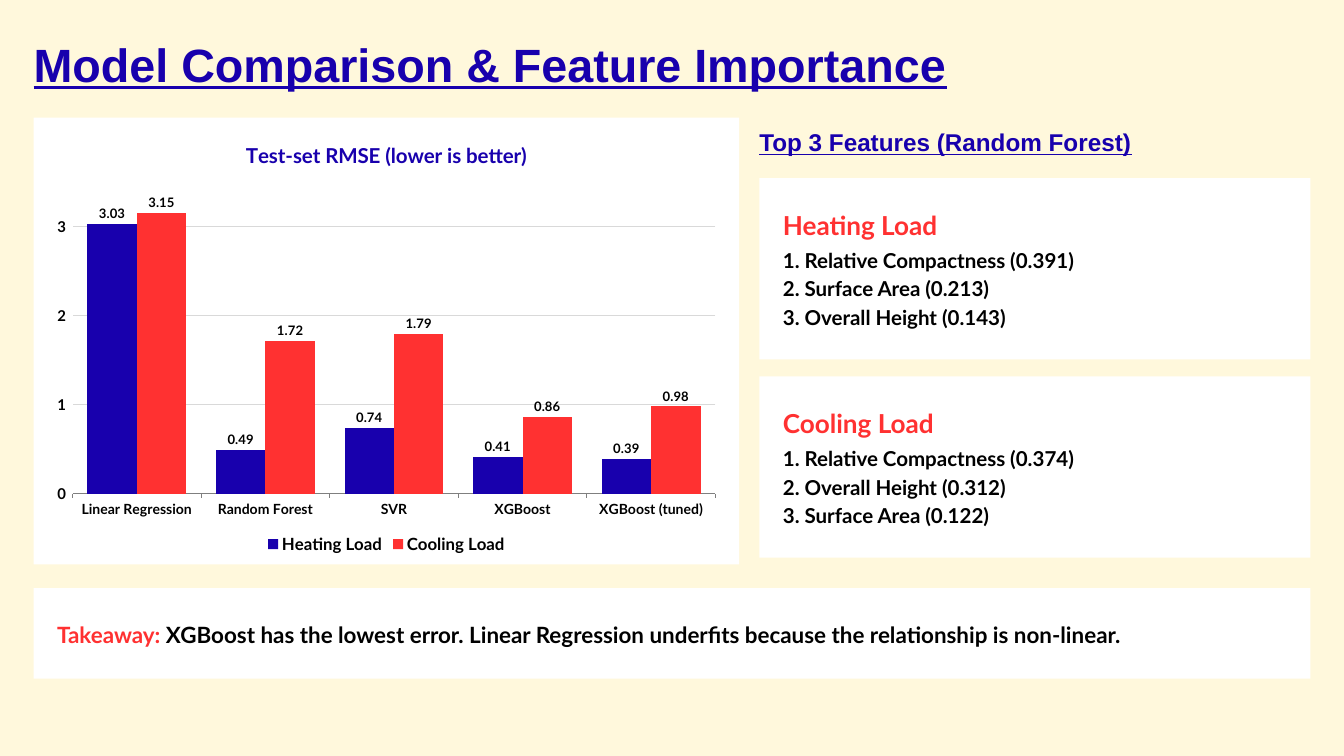
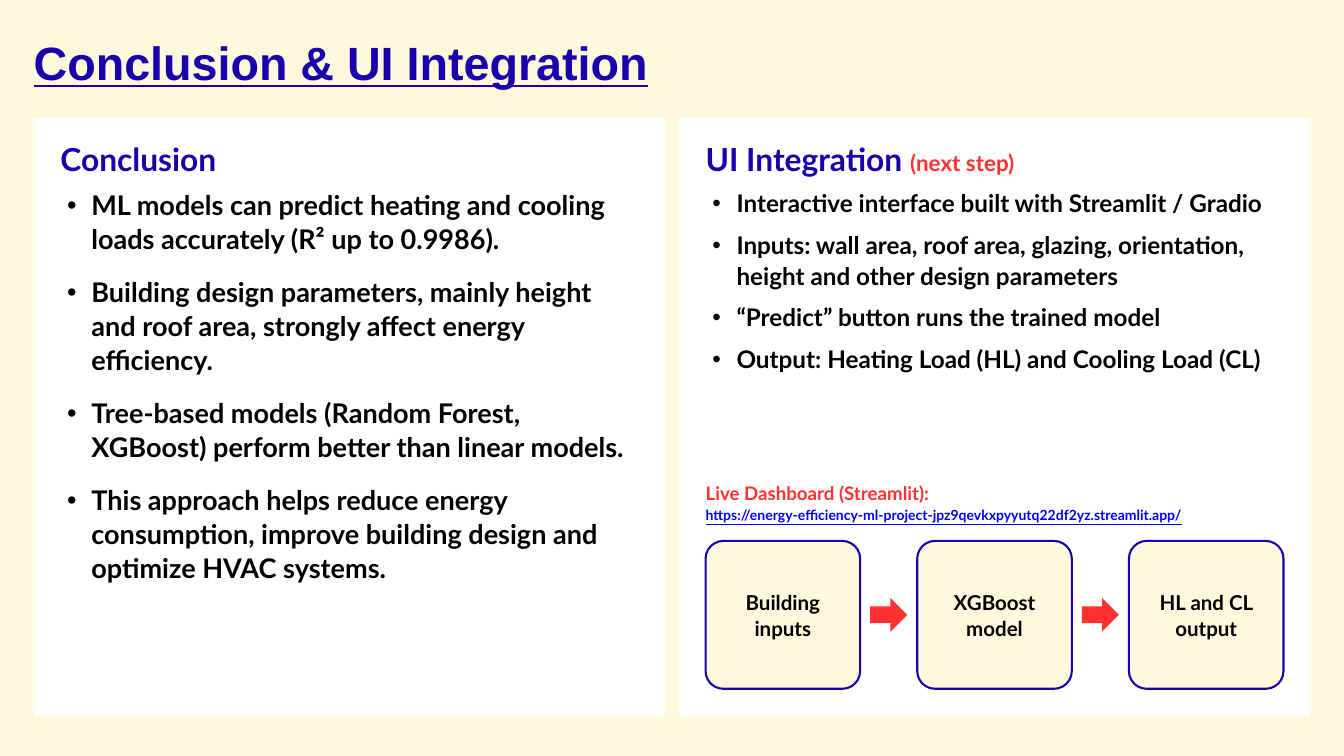
from dataclasses import dataclass
from typing import NamedTuple

from lxml import etree
from pptx import Presentation
from pptx.chart.data import CategoryChartData
from pptx.dml.color import RGBColor
from pptx.enum.chart import XL_CHART_TYPE, XL_LABEL_POSITION, XL_LEGEND_POSITION, XL_TICK_MARK
from pptx.enum.shapes import MSO_SHAPE
from pptx.enum.text import MSO_ANCHOR, MSO_AUTO_SIZE, PP_ALIGN
from pptx.oxml.ns import qn
from pptx.util import Emu, Pt

TOP, MIDDLE = MSO_ANCHOR.TOP, MSO_ANCHOR.MIDDLE
LEFT, CENTER = PP_ALIGN.LEFT, PP_ALIGN.CENTER
NO_FIT, GROW = MSO_AUTO_SIZE.NONE, MSO_AUTO_SIZE.SHAPE_TO_FIT_TEXT
RECT, ROUNDED, ARROW = MSO_SHAPE.RECTANGLE, MSO_SHAPE.ROUNDED_RECTANGLE, MSO_SHAPE.RIGHT_ARROW
TICK_OUT = XL_TICK_MARK.OUTSIDE

PX = 9144  # 100 px to the inch
TWO_CONTENT = 3  # layout with a title and two bodies


@dataclass(frozen=True)
class Theme:
    # colours
    cream: str = "FFF8DC"
    white: str = "FFFFFF"
    navy: str = "1800AD"
    red: str = "FF3131"
    black: str = "000000"
    link: str = "0000FF"
    axis: str = "7F7F7F"
    grid: str = "D9D9D9"
    # fonts
    head_font: str = "Arial"
    body_font: str = "Lato"
    # type sizes
    title: int = 50
    panel_head: int = 34
    conclusion: int = 29
    card_head: int = 28
    subhead: int = 26
    takeaway: int = 24
    item: int = 22
    dashboard: int = 20
    chart: int = 18
    value_axis: int = 16
    small: int = 15
    data_label: int = 14


T = Theme()


class Box(NamedTuple):
    left: int
    top: int
    width: int
    height: int


class Insets(NamedTuple):
    left: int = 0
    top: int = 0
    right: int = 0
    bottom: int = 0


@dataclass(frozen=True)
class Run:
    text: str
    size: int
    color: str = T.black
    font: str = T.body_font
    underline: bool = False


@dataclass(frozen=True)
class Para:
    runs: tuple[Run, ...]
    after: int = 0
    spacing: float = 1.05
    bullet: bool = False
    align: PP_ALIGN = LEFT


CARD_INSETS = Insets(35, 20, 35, 20)
TAKEAWAY_INSETS = Insets(35, 10, 35, 10)
PANEL_INSETS = Insets(40, 30, 40, 20)
STEP_INSETS = Insets(10, 10, 10, 10)


def px(value: int) -> Emu:
    return Emu(value * PX)


def rgb(color: str) -> RGBColor:
    return RGBColor.from_string(color)


def apply(target, values: dict) -> None:
    for name, value in values.items():
        setattr(target, name, value)


def style_font(font, size: int, color: str = T.black, name: str = T.body_font,
               underline: bool = False) -> None:
    apply(font, {"size": Pt(size), "name": name, "bold": True, "underline": underline})
    font.color.rgb = rgb(color)


def set_bullet(paragraph, bullet: bool) -> None:
    props = paragraph._p.get_or_add_pPr()
    props.set("marL", str(px(46 if bullet else 0)))
    props.set("indent", str(px(-36 if bullet else 0)))
    if bullet:
        etree.SubElement(props, qn("a:buChar")).set("char", "•")
    else:
        etree.SubElement(props, qn("a:buNone"))


def write(shape, paras: list[Para], insets: Insets = Insets(), anchor: MSO_ANCHOR = MIDDLE) -> None:
    frame = shape.text_frame
    apply(frame, {"word_wrap": True, "auto_size": NO_FIT, "vertical_anchor": anchor})
    apply(frame, {f"margin_{side}": px(value) for side, value in insets._asdict().items()})
    for index, para in enumerate(paras):
        paragraph = frame.add_paragraph() if index else frame.paragraphs[0]
        set_bullet(paragraph, para.bullet)
        apply(paragraph, {"alignment": para.align, "line_spacing": para.spacing,
                          "space_before": Pt(0), "space_after": Pt(para.after)})
        for part in para.runs:
            run = paragraph.add_run()
            run.text = part.text
            style_font(run.font, part.size, part.color, part.font, part.underline)


def place(shape, box: Box) -> None:
    apply(shape, {side: px(value) for side, value in box._asdict().items()})


def paint(shape, fill: str, outline: str | None = None) -> None:
    shape.fill.solid()
    shape.fill.fore_color.rgb = rgb(fill)
    if outline:
        shape.line.color.rgb = rgb(outline)
        shape.line.width = Pt(2.25)
    else:
        shape.line.fill.background()


def add_block(slide, kind: MSO_SHAPE, box: Box, fill: str, outline: str | None = None):
    block = slide.shapes.add_shape(kind, *map(px, box))
    block.shadow.inherit = False
    paint(block, fill, outline)
    return block


def fill_panel(body, box: Box, paras: list[Para], insets: Insets, anchor: MSO_ANCHOR) -> None:
    place(body, box)
    paint(body, T.white)
    write(body, paras, insets, anchor)


def heading(text: str, size: int, spacing: float = 1.05) -> list[Para]:
    return [Para((Run(text, size, T.navy, T.head_font, True),), spacing=spacing)]


def add_titled_slide(deck, title: str, spacing: float):
    slide = deck.slides.add_slide(deck.slide_layouts[TWO_CONTENT])
    place(slide.shapes.title, Box(50, 30, 1900, 125))
    write(slide.shapes.title, heading(title, T.title, spacing))
    return slide


def add_rmse_chart(slide, box: Box) -> None:
    data = CategoryChartData(number_format="0.00")
    data.categories = ["Linear Regression", "Random Forest", "SVR", "XGBoost", "XGBoost (tuned)"]
    data.add_series("Heating Load", [3.03, 0.49, 0.74, 0.41, 0.39])
    data.add_series("Cooling Load", [3.15, 1.72, 1.79, 0.86, 0.98])
    chart = slide.shapes.add_chart(XL_CHART_TYPE.COLUMN_CLUSTERED, *map(px, box), data).chart
    style_font(chart.font, T.chart)

    # Title and legend
    chart.has_title = True
    chart_title = chart.chart_title.text_frame.paragraphs[0].add_run()
    chart_title.text = "Test-set RMSE (lower is better)"
    style_font(chart_title.font, T.item, T.navy)
    chart.has_legend = True
    apply(chart.legend, {"position": XL_LEGEND_POSITION.BOTTOM, "include_in_layout": False})
    style_font(chart.legend.font, T.chart)

    # Axes
    models, rmse = chart.category_axis, chart.value_axis
    models.major_tick_mark = TICK_OUT
    style_font(models.tick_labels.font, T.small)
    apply(rmse, {"minimum_scale": 0, "maximum_scale": 3.5, "major_unit": 1,
                 "has_major_gridlines": True, "major_tick_mark": TICK_OUT})
    apply(rmse.tick_labels, {"number_format": "0", "number_format_is_linked": False})
    style_font(rmse.tick_labels.font, T.value_axis)
    rmse.format.line.fill.background()
    for line, color in ((models.format.line, T.axis), (rmse.major_gridlines.format.line, T.grid)):
        line.color.rgb = rgb(color)
        line.width = Pt(0.75)

    # Columns and their labels
    plot = chart.plots[0]
    apply(plot, {"gap_width": 60, "overlap": 0, "vary_by_categories": False})
    for load, color in zip(plot.series, (T.navy, T.red)):
        load.format.fill.solid()
        load.format.fill.fore_color.rgb = rgb(color)
        labels = load.data_labels
        apply(labels, {"show_value": True, "position": XL_LABEL_POSITION.OUTSIDE_END,
                       "number_format": "0.00", "number_format_is_linked": False})
        style_font(labels.font, T.data_label)


def build_comparison(deck) -> None:
    slide = add_titled_slide(deck, "Model Comparison & Feature Importance", 1.05)

    # Chart panel
    add_block(slide, RECT, Box(50, 175, 1050, 665), T.white)
    add_rmse_chart(slide, Box(65, 185, 1020, 645))

    # Feature cards
    features = slide.shapes.add_textbox(*map(px, Box(1130, 175, 820, 70)))
    write(features, heading("Top 3 Features (Random Forest)", T.subhead))
    rankings = {
        "Heating Load": ["1. Relative Compactness (0.391)", "2. Surface Area (0.213)",
                         "3. Overall Height (0.143)"],
        "Cooling Load": ["1. Relative Compactness (0.374)", "2. Overall Height (0.312)",
                         "3. Surface Area (0.122)"],
    }
    for index, (load, ranked) in enumerate(rankings.items()):
        paras = [Para((Run(load, T.card_head, T.red),), after=6)]
        paras += [Para((Run(feature, T.item),), after=3) for feature in ranked]
        fill_panel(slide.placeholders[index + 1], Box(1130, 265 + 295 * index, 820, 270),
                   paras, CARD_INSETS, MIDDLE)

    # Takeaway band
    takeaway = add_block(slide, RECT, Box(50, 875, 1900, 135), T.white)
    write(takeaway, [Para((
        Run("Takeaway: ", T.takeaway, T.red),
        Run("XGBoost has the lowest error. Linear Regression underfits because "
            "the relationship is non-linear.", T.takeaway),
    ))], TAKEAWAY_INSETS)


def build_conclusion(deck) -> None:
    slide = add_titled_slide(deck, "Conclusion & UI Integration", 1.0)

    # Two list panels: heading runs, bullet size, space after, bullets
    panels = [
        ((Run("Conclusion", T.panel_head, T.navy),), T.conclusion, 20, [
            "ML models can predict heating and cooling loads accurately (R² up to 0.9986).",
            "Building design parameters, mainly height and roof area, strongly affect "
            "energy efficiency.",
            "Tree-based models (Random Forest, XGBoost) perform better than linear models.",
            "This approach helps reduce energy consumption, improve building design and "
            "optimize HVAC systems.",
        ]),
        ((Run("UI Integration ", T.panel_head, T.navy), Run("(next step)", T.takeaway, T.red)),
         T.subhead, 12, [
            "Interactive interface built with Streamlit / Gradio",
            "Inputs: wall area, roof area, glazing, orientation, height and other design parameters",
            "“Predict” button runs the trained model",
            "Output: Heating Load (HL) and Cooling Load (CL)",
        ]),
    ]
    for index, (head, size, after, points) in enumerate(panels):
        paras = [Para(head, after=10)]
        paras += [Para((Run(point, size),), after=after, bullet=True) for point in points]
        fill_panel(slide.placeholders[index + 1], Box(50 + 960 * index, 175, 940, 890),
                   paras, PANEL_INSETS, TOP)

    # Prediction flow
    steps = ["Building inputs", "XGBoost model", "HL and CL output"]
    for index, step in enumerate(steps):
        left = 1050 + 315 * index
        if index:
            add_block(slide, ARROW, Box(left - 70, 890, 55, 50), T.red)
        box = add_block(slide, ROUNDED, Box(left, 805, 230, 220), T.cream, T.navy)
        box.adjustments[0] = 0.12
        write(box, [Para((Run(step, T.item),), align=CENTER)], STEP_INSETS)

    # Dashboard address
    dashboard = slide.shapes.add_textbox(*map(px, Box(1050, 700, 870, 95)))
    address = "https://energy-efficiency-ml-project-jpz9qevkxpyyutq22df2yz.streamlit.app/"
    write(dashboard, [
        Para((Run("Live Dashboard (Streamlit):", T.dashboard, T.red),), after=3, spacing=1.0),
        Para((Run(address, T.small, T.link, underline=True),), spacing=1.0),
    ])
    dashboard.text_frame.auto_size = GROW


def main() -> None:
    deck = Presentation()
    apply(deck, {"slide_width": px(2000), "slide_height": px(1125)})
    backdrop = deck.slide_master.background.fill
    backdrop.solid()
    backdrop.fore_color.rgb = rgb(T.cream)
    build_comparison(deck)
    build_conclusion(deck)
    deck.save("out.pptx")


if __name__ == "__main__":
    main()
